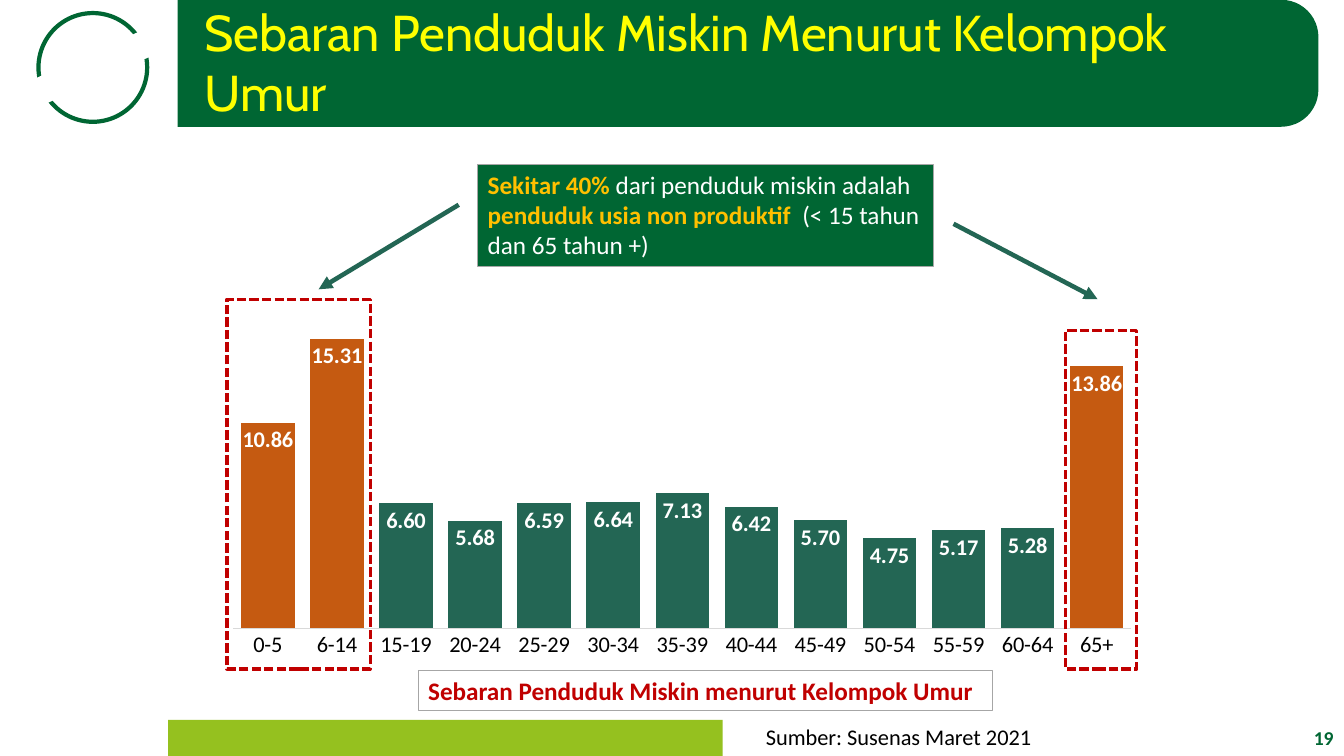
"""Build the slide on the spread of poor residents by age group."""
from lxml.etree import SubElement
from pptx import Presentation
from pptx.chart.data import CategoryChartData
from pptx.dml.color import RGBColor
from pptx.enum.chart import XL_CHART_TYPE, XL_LABEL_POSITION, XL_TICK_MARK
from pptx.enum.dml import MSO_LINE
from pptx.enum.shapes import MSO_CONNECTOR, MSO_SHAPE
from pptx.enum.text import MSO_ANCHOR, MSO_AUTO_SIZE, PP_ALIGN
from pptx.oxml.ns import qn
from pptx.util import Cm, Pt

GREEN, TEAL, RED, ORANGE, GREY = "006633", "236654", "C00000", "C55A11", "A6A6A6"


def paint(fmt, color):
    if hasattr(fmt, "solid"):
        fmt.solid()
        fmt.fore_color.rgb = RGBColor.from_string(color)
    else:
        fmt.color.rgb = RGBColor.from_string(color)


def add_box(kind, pos, fill=None, line=None, width=0.75):
    pos = [Cm(v) for v in pos]
    if kind is None:
        sp = s.shapes.add_textbox(*pos)
        sp.text_frame.word_wrap = True
    else:
        sp = s.shapes.add_shape(kind, *pos)
        sp.shadow.inherit = False
    if fill:
        paint(sp.fill, fill)
    else:
        sp.fill.background()
    if line:
        paint(sp.line.fill, line)
        sp.line.width = Pt(width)
    else:
        sp.line.fill.background()
    return sp


prs = Presentation()
prs.slide_width, prs.slide_height = Cm(33.87), Cm(19.05)
s = prs.slides.add_slide(prs.slide_layouts[5])

ages = ["0-5", "6-14", "15-19", "20-24", "25-29", "30-34", "35-39",
        "40-44", "45-49", "50-54", "55-59", "60-64", "65+"]
shares = [10.86, 15.31, 6.60, 5.68, 6.59, 6.64, 7.13,
          6.42, 5.70, 4.75, 5.17, 5.28, 13.86]
data = CategoryChartData(number_format="#,##0.00")
data.categories = ages
data.add_series("Series 1", shares)
chart = s.shapes.add_chart(XL_CHART_TYPE.COLUMN_CLUSTERED, Cm(5.41), Cm(7.06),
                           Cm(23.57), Cm(9.75), data).chart
chart.has_legend = chart.has_title = False
chart.font.name, chart.font.size = "Calibri", Pt(16)
paint(chart.font, "000000")
axis = chart.category_axis
axis.major_tick_mark = XL_TICK_MARK.NONE
axis.tick_labels.font.size = Pt(16)
paint(axis.format.line.fill, "D9D9D9")
axis.format.line.width = Pt(0.75)
axis = chart.value_axis
axis.visible = axis.has_major_gridlines = False
axis.minimum_scale, axis.maximum_scale = 0, 18
plot = chart.plots[0]
plot.gap_width, plot.overlap, plot.vary_by_categories = 29, -27, False
ser = plot.series[0]
paint(ser.format.fill, TEAL)
for i in (0, 1, 12):
    paint(ser.points[i].format.fill, ORANGE)
labels = ser.data_labels
labels.show_value = True
labels.position = XL_LABEL_POSITION.INSIDE_END
labels.number_format, labels.number_format_is_linked = "#,##0.00", False
labels.font.name, labels.font.size, labels.font.bold = "Calibri", Pt(16), True
paint(labels.font, "FFFFFF")

for pos in ((26.85, 8.33, 1.8, 8.53), (5.72, 7.54, 3.61, 9.32)):
    sp = add_box(MSO_SHAPE.RECTANGLE, pos, line=RED, width=2.25)
    sp.line.dash_style = MSO_LINE.SQUARE_DOT

for ends in ((11.56, 5.16, 8.03, 7.29), (24.03, 5.64, 27.66, 7.54)):
    arrow = s.shapes.add_connector(MSO_CONNECTOR.STRAIGHT, *[Cm(v) for v in ends])
    paint(arrow.line.fill, TEAL)
    arrow.line.width = Pt(3.25)
    SubElement(arrow.line._get_or_add_ln(), qn("a:tailEnd"), type="triangle")
    SubElement(arrow._element.spPr, qn("a:effectLst"))

band = add_box(MSO_SHAPE.ROUND_2_SAME_RECTANGLE, (17.25, -12.78, 3.2, 28.75), GREEN)
band.rotation = 90
band.adjustments[0], band.adjustments[1] = 0.293, 0
add_box(MSO_SHAPE.OVAL, (0.97, 0.33, 2.74, 2.74), line=GREEN, width=3)
ring_gap = add_box(MSO_SHAPE.RECTANGLE, (0.41, 1.35, 3.89, 0.69), "FFFFFF")
ring_gap.rotation = 335.7
add_box(MSO_SHAPE.RECTANGLE, (4.24, 18.14, 13.97, 0.91), "95C11F")

title = s.shapes.title
band._element.addnext(title._element)
title.left, title.top, title.width, title.height = Cm(4.9), Cm(-0.1), Cm(25.1), Cm(3.18)
tf = title.text_frame
tf.text = "Sebaran Penduduk Miskin Menurut Kelompok Umur"
tf.word_wrap, tf.auto_size, tf.vertical_anchor = True, MSO_AUTO_SIZE.NONE, MSO_ANCHOR.TOP
p = tf.paragraphs[0]
p.alignment = PP_ALIGN.LEFT
r = p.runs[0]
r.font.name, r.font.size = "Cabin", Pt(36)
paint(r.font, "FFFF00")

callout = add_box(None, (12.04, 4.14, 11.48, 2.57), GREEN, GREY)
caption = add_box(None, (10.54, 16.89, 14.48, 1.02), line=GREY)
source = add_box(None, (19.05, 18.11, 7.42, 0.94))
number = add_box(None, (26.24, 18.08, 7.62, 1.02))
number.text_frame.vertical_anchor = MSO_ANCHOR.MIDDLE
number.text_frame.paragraphs[0].alignment = PP_ALIGN.RIGHT

texts = [
    (callout, 18, [("Sekitar 40% ", "FFC000", True),
                   ("dari penduduk miskin adalah ", "FFFFFF", False),
                   ("penduduk usia non produktif  ", "FFC000", True),
                   ("(< 15 tahun dan 65 tahun +)", "FFFFFF", False)]),
    (caption, 18, [("Sebaran Penduduk Miskin menurut Kelompok Umur", RED, True)]),
    (source, 16, [("Sumber: Susenas Maret 2021", "000000", False)]),
    (number, 14, [("19", GREEN, True)]),
]
for sp, size, runs in texts:
    for text, color, bold in runs:
        r = sp.text_frame.paragraphs[0].add_run()
        r.text = text
        r.font.name, r.font.size, r.font.bold = "Calibri", Pt(size), bold
        paint(r.font, color)

prs.save("out.pptx")
